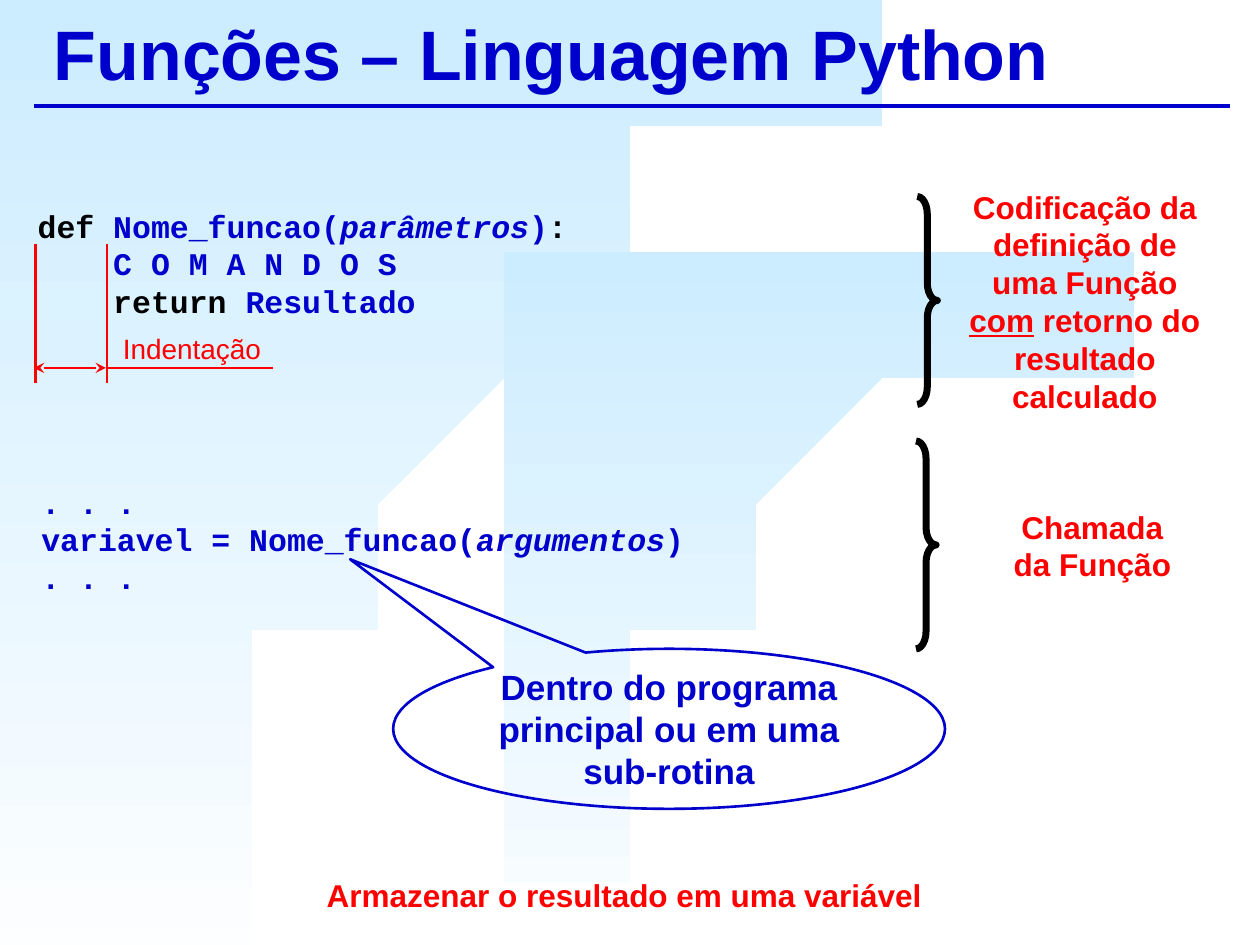
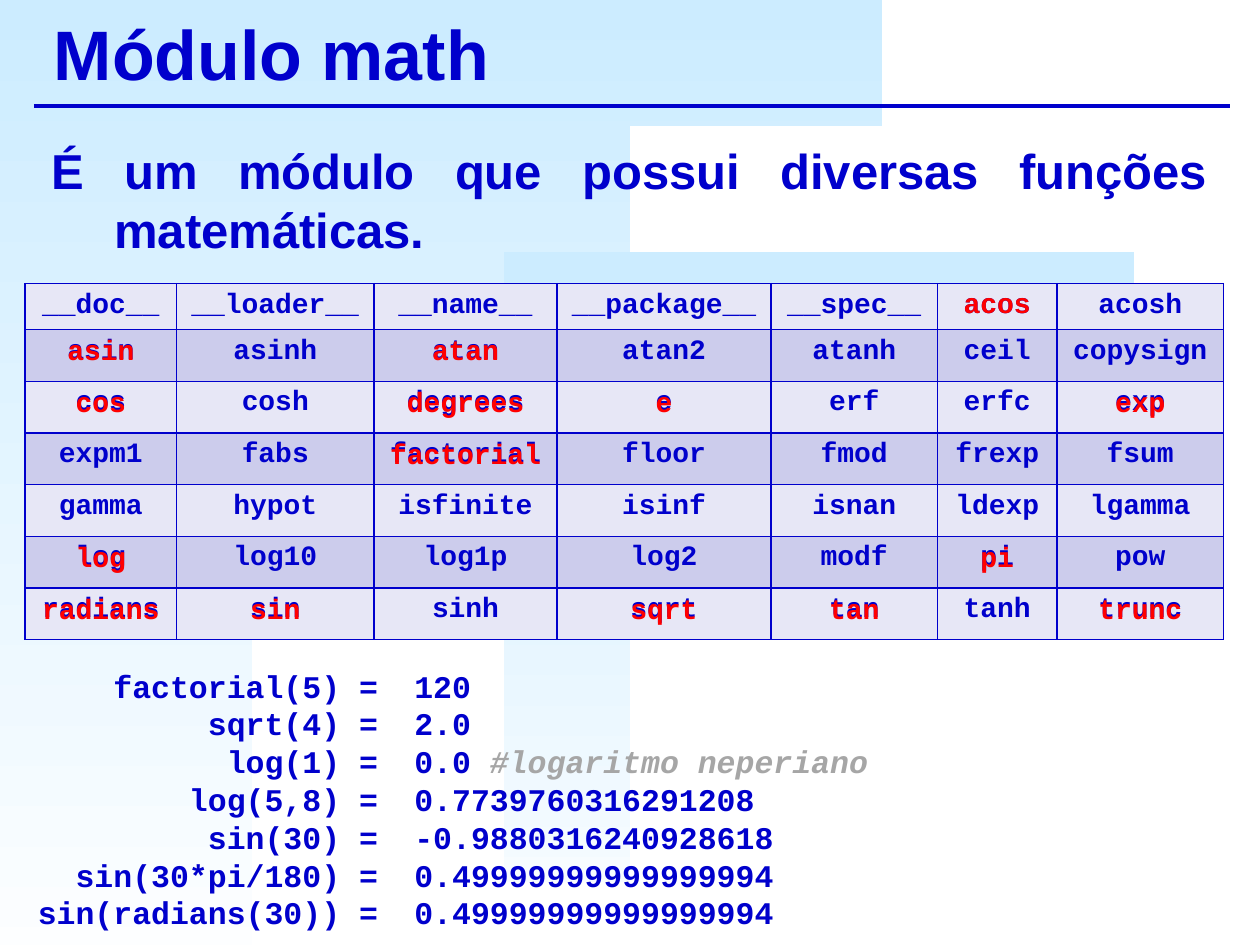
from math import asin, cos, pi, sin

from lxml.etree import SubElement
from pptx import Presentation
from pptx.dml.color import RGBColor
from pptx.enum.shapes import MSO_CONNECTOR, MSO_SHAPE
from pptx.enum.text import MSO_ANCHOR, MSO_AUTO_SIZE, PP_ALIGN
from pptx.oxml.ns import qn
from pptx.util import Pt

COLORS = {
    "blue": "0000CC", "red": "FF0000", "black": "000000", "gray": "A6A6A6",
    "sky": "CCECFF", "white": "FFFFFF", "light row": "E7E7F6", "dark row": "CCCCEC",
}
RGB = {name: RGBColor.from_string(code) for name, code in COLORS.items()}
SANS, MONO = "Arial", "Courier New"
LEFT, CENTER, RIGHT, JUSTIFY = PP_ALIGN.LEFT, PP_ALIGN.CENTER, PP_ALIGN.RIGHT, PP_ALIGN.JUSTIFY
NO_TABLE_STYLE = "{2D5ABB26-0587-4C30-8999-92F81FD0307C}"

deck = Presentation()
deck.slide_width, deck.slide_height = 9144000, 6858000
# The grid has 10 columns and 7.5 rows of square units
UNIT = deck.slide_width // 10


def write(frame, lines, size, color="blue", font=SANS, align=LEFT, bold=True):
    """Fill a frame; a line is a string or a list of (text, style) runs."""
    frame.word_wrap = True
    for number, line in enumerate(lines):
        paragraph = frame.paragraphs[0] if number == 0 else frame.add_paragraph()
        paragraph.alignment = align
        paragraph.line_spacing = Pt(size * 1.2)
        paragraph.font.name, paragraph.font.size = font, Pt(size)
        paragraph.font.bold, paragraph.font.color.rgb = bold, RGB[color]
        for text, style in [(line, {})] if isinstance(line, str) else line:
            run = paragraph.add_run()
            run.text = text
            run.font.italic = style.get("italic")
            run.font.underline = style.get("underline")
            if "color" in style:
                run.font.color.rgb = RGB[style["color"]]
    return frame


def draw_line(slide, x1, y1, x2, y2, color, weight, arrows=False):
    line = slide.shapes.add_connector(
        MSO_CONNECTOR.STRAIGHT, *(int(UNIT * value) for value in (x1, y1, x2, y2)))
    line.line.color.rgb, line.line.width = RGB[color], Pt(weight)
    properties = line._element.spPr
    if arrows:
        for end in ("a:headEnd", "a:tailEnd"):
            SubElement(properties.find(qn("a:ln")), qn(end), type="stealth")
    SubElement(properties, qn("a:effectLst"))


# Shared look: two curved gradient panels, title and rule
ARC_STEPS = 32
panels = [(0, 0, 8.06, 8.05), (4.4, 2.33, 7.94, 5.59)]  # left, top, arc centre row, radius
slides = []
for title in ("Funções – Linguagem Python", "Módulo math"):
    slide = deck.slides.add_slide(deck.slide_layouts[6])
    slides.append(slide)
    for left, top, centre, radius in panels:
        start = asin((centre - 7.5) / radius)
        angles = [start + (pi / 2 - start) * step / ARC_STEPS for step in range(ARC_STEPS + 1)]
        arc = [(10 - radius * cos(angle), centre - radius * sin(angle)) for angle in angles]
        outline = slide.shapes.build_freeform(*arc[0], scale=UNIT)
        outline.add_line_segments(arc[1:] + [(10, top), (left, top), (left, 7.5)], close=True)
        panel = outline.convert_to_shape()
        panel.shadow.inherit = False
        panel.line.fill.background()
        panel.fill.gradient()
        panel.fill.gradient_angle = 270
        for stop, shade in zip(panel.fill.gradient_stops, ("sky", "white")):
            stop.color.rgb = RGB[shade]
    draw_line(slide, 0.27, 0.84, 9.76, 0.84, "blue", 2.25)
    heading = slide.shapes.add_textbox(
        *(int(UNIT * value) for value in (0.33, 0, 9.42, 0.83))).text_frame
    heading.vertical_anchor = MSO_ANCHOR.MIDDLE
    write(heading, [title], 40)
functions, module = slides

# Text blocks of both slides
black, slanted = {"color": "black"}, {"italic": True}
definition = [
    [("def ", black), ("Nome_funcao(", {}), ("parâmetros", slanted), (")", {}), (":", black)],
    "C O M A N D O S",
    [("return", black), (" Resultado", {})],
]
call = [". . .", [("variavel = Nome_funcao(", {}), ("argumentos", slanted), (")", {})], ". . ."]
explanation = [[("Codificação da definição de uma Função ", {}), ("com", {"underline": True}),
                (" retorno do resultado calculado", {})]]
examples = [
    ("factorial(5)", "120"), ("sqrt(4)", "2.0"),
    ("log(1)", [("0.0 ", {}), ("#logaritmo neperiano", {"color": "gray", "italic": True})]),
    ("log(5,8)", "0.7739760316291208"), ("sin(30)", "-0.9880316240928618"),
    ("sin(30*pi/180)", "0.49999999999999994"), ("sin(radians(30))", "0.49999999999999994"),
]
expressions = [f"{expression} =" for expression, value in examples]
values = [value for expression, value in examples]
summary = ["É um módulo que possui diversas funções matemáticas."]

blocks = [
    (functions, (0.2, 1.56, 9.61, 1.62), definition, 18, "blue", MONO, LEFT),
    (functions, (0.23, 3.75, 9.53, 1.01), call, 18, "blue", MONO, JUSTIFY),
    (functions, (7.5, 1.44, 2.22, 1.92), explanation, 18, "red", SANS, CENTER),
    (functions, (7.89, 3.98, 1.56, 0.71), ["Chamada da Função"], 18, "red", SANS, CENTER),
    (functions, (0.84, 2.58, 1.33, 0.37), ["Indentação"], 16, "red", SANS, RIGHT),
    (functions, (0.19, 6.9, 9.53, 0.4), ["Armazenar o resultado em uma variável"],
     18, "red", SANS, CENTER),
    (module, (0.31, 1.07, 9.37, 1.04), summary, 28, "blue", SANS, JUSTIFY),
    (module, (0.2, 5.21, 3.23, 2.22), expressions, 18, "blue", MONO, RIGHT),
    (module, (3.19, 5.21, 3.86, 2.22), values, 18, "blue", MONO, LEFT),
]
for slide, box, lines, size, color, font, align in blocks:
    frame = slide.shapes.add_textbox(*(int(UNIT * value) for value in box)).text_frame
    write(frame, lines, size, color, font, align, bold=size != 16)
    frame.auto_size = MSO_AUTO_SIZE.SHAPE_TO_FIT_TEXT
    if font == MONO:
        frame.margin_top = int(UNIT * 0.08)
    if lines is definition:  # the body stands four characters in
        for paragraph in frame.paragraphs[1:]:
            paragraph._p.get_or_add_pPr().set("marL", str(int(UNIT * 0.6)))
    if lines is summary:  # hanging indent
        indent = int(UNIT * 0.5)
        properties = frame.paragraphs[0]._p.get_or_add_pPr()
        properties.set("marL", str(indent))
        properties.set("indent", str(-indent))
    if lines is expressions:  # equal signs line up
        frame.margin_right = int(UNIT * 0.43)

# Braces and callout
outlines = [
    (MSO_SHAPE.RIGHT_BRACE, (7.28, 1.56, 0.16, 1.65), (0.872, 0.5), "black", 4),
    (MSO_SHAPE.RIGHT_BRACE, (7.27, 3.5, 0.16, 1.65), (0.872, 0.5), "black", 4),
    (MSO_SHAPE.OVAL_CALLOUT, (3.12, 5.15, 4.38, 1.27), (-0.578, -1.06), "blue", 1.5),
]
for kind, box, adjustments, color, weight in outlines:
    mark = functions.shapes.add_shape(kind, *(int(UNIT * value) for value in box))
    mark.shadow.inherit = False
    mark.fill.background()
    mark.line.color.rgb, mark.line.width = RGB[color], Pt(weight)
    for index, adjustment in enumerate(adjustments):
        mark.adjustments[index] = adjustment
    if kind == MSO_SHAPE.OVAL_CALLOUT:
        note = write(mark.text_frame, ["Dentro do programa principal ou em uma sub-rotina"],
                     20, align=CENTER)
        note.vertical_anchor = MSO_ANCHOR.MIDDLE
        note.margin_left = note.margin_right = int(UNIT * 0.08)
        note.margin_top = note.margin_bottom = int(UNIT * 0.04)

# Indentation measure
for x in (0.28, 0.85):
    draw_line(functions, x, 1.94, x, 3.04, "red", 1.5)
draw_line(functions, 0.27, 2.92, 0.84, 2.92, "red", 1.5, arrows=True)
draw_line(functions, 0.85, 2.92, 2.17, 2.92, "red", 1.5)

# Names of the module, then the highlighted ones laid over them
names = [row.split() for row in (
    "__doc__ __loader__ __name__ __package__ __spec__ acos acosh",
    "asin asinh atan atan2 atanh ceil copysign",
    "cos cosh degrees e erf erfc exp",
    "expm1 fabs factorial floor fmod frexp fsum",
    "gamma hypot isfinite isinf isnan ldexp lgamma",
    "log log10 log1p log2 modf pi pow",
    "radians sin sinh sqrt tan tanh trunc",
)]
highlighted = set("acos asin atan cos degrees e exp factorial log pi radians sin sqrt tan trunc".split())
column_widths = [1.2, 1.57, 1.45, 1.7, 1.32, 0.95, 1.32]
for color, first_height in (("blue", 0.35), ("red", 0.37)):
    holder = module.shapes.add_table(
        len(names), len(column_widths), *(int(UNIT * value) for value in (0.2, 2.25, 9.53, 2.8)))
    table = holder.table
    table.first_row = table.horz_banding = False
    holder._element.find(".//" + qn("a:tableStyleId")).text = NO_TABLE_STYLE
    for column, width in zip(table.columns, column_widths):
        column.width = int(UNIT * width)
    for number, row in enumerate(names):
        table.rows[number].height = int(UNIT * (0.41 if number else first_height))
        for position, name in enumerate(row):
            cell = table.cell(number, position)
            if color == "blue" or name in highlighted:
                write(cell.text_frame, [name], 16, color, MONO, CENTER)
                cell.text_frame.paragraphs[0].line_spacing = None
            else:
                cell.margin_top = cell.margin_bottom = int(UNIT * 0.04)
            if color == "red":
                cell.fill.background()
                continue
            properties = cell._tc.get_or_add_tcPr()
            for side in ("a:lnL", "a:lnR", "a:lnT", "a:lnB"):
                border = SubElement(properties, qn(side), w=str(Pt(1)))
                paint = SubElement(border, qn("a:solidFill"))
                SubElement(paint, qn("a:srgbClr"), val=COLORS["blue"])
            cell.fill.solid()
            cell.fill.fore_color.rgb = RGB["dark row" if number % 2 else "light row"]

deck.save("out.pptx")
